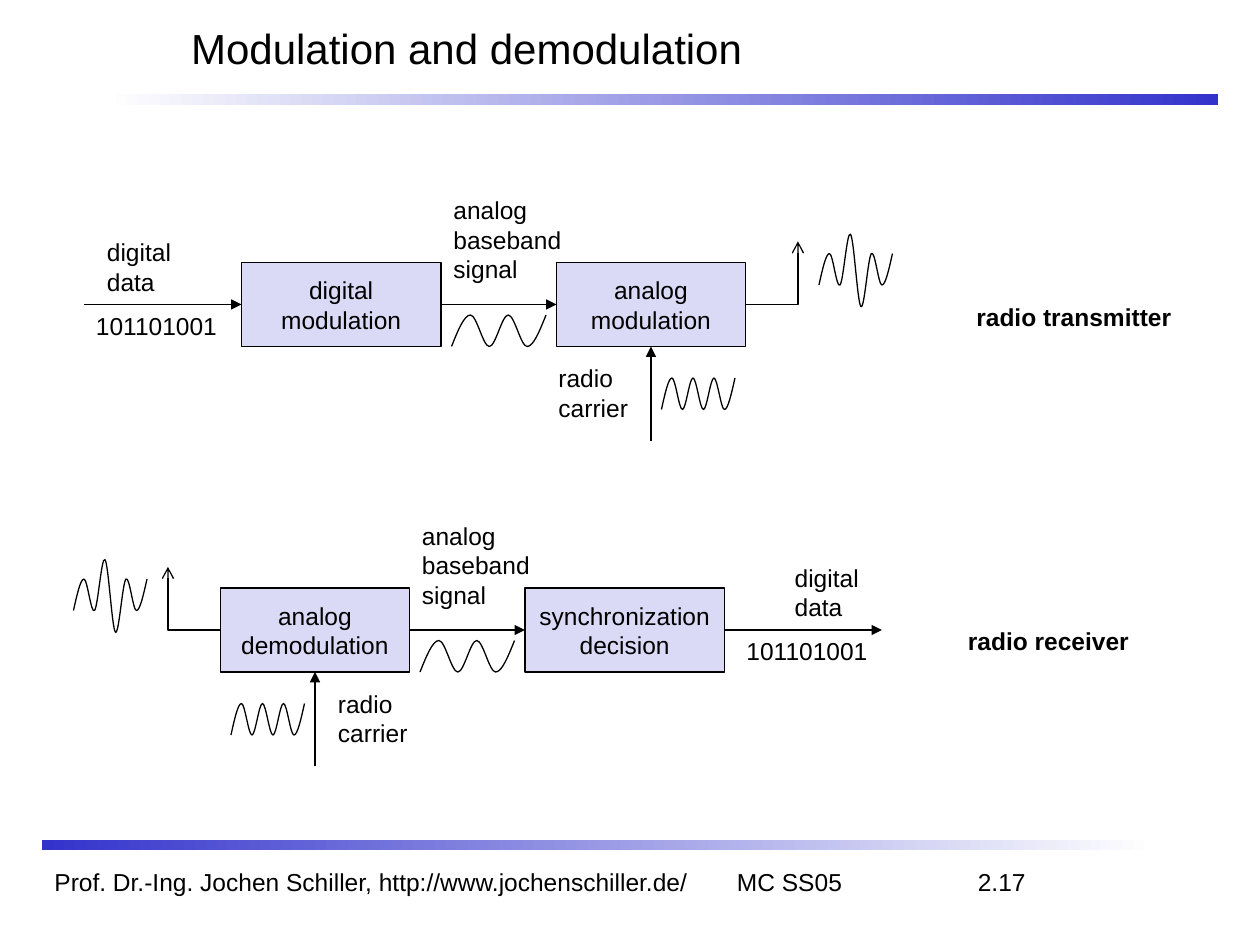
from lxml import etree
from pptx import Presentation
from pptx import util as u
from pptx.dml.color import RGBColor
from pptx.enum import shapes, text
from pptx.oxml.ns import qn

BLACK = RGBColor(0x00, 0x00, 0x00)
WHITE = RGBColor(0xFF, 0xFF, 0xFF)
BLUE = RGBColor(0x33, 0x33, 0xCC)
LAVENDER = RGBColor(0xDA, 0xDA, 0xF6)
GRID = u.Cm(2.54) // 12
LEFT, CENTER = text.PP_ALIGN.LEFT, text.PP_ALIGN.CENTER
TOP, MIDDLE = text.MSO_ANCHOR.TOP, text.MSO_ANCHOR.MIDDLE


def grid(*values):
    return [round(value * GRID) for value in values]


def write(shape, content, alignment=LEFT, tabs=(), frame_format=None, **font_format):
    frame = shape.text_frame
    frame.text = content
    for name, value in (frame_format or {}).items():
        setattr(frame, name, value)
    for paragraph in frame.paragraphs:
        paragraph.alignment = alignment
        if tabs:
            tab_list = etree.SubElement(paragraph._p.get_or_add_pPr(), qn("a:tabLst"))
            for position, kind in tabs:
                etree.SubElement(tab_list, qn("a:tab"), pos=str(grid(position)[0]), algn=kind)
        settings = {"name": "Arial", "size": u.Pt(14), **font_format}
        for name, value in settings.items():
            setattr(paragraph.font, name, value)
        paragraph.font.color.rgb = BLACK


presentation = Presentation()
presentation.slide_width, presentation.slide_height = u.Cm(25.4), u.Cm(19.05)
slide = presentation.slides.add_slide(presentation.slide_layouts[5])

for left, top, colors in [(10, 9, (BLUE, WHITE)), (4, 80, (WHITE, BLUE))]:
    bar = slide.shapes.add_shape(shapes.MSO_SHAPE.RECTANGLE, *grid(left, top, 106, 1))
    bar.shadow.inherit = False
    bar.line.fill.background()
    bar.fill.gradient()
    bar.fill.gradient_angle = 180
    for stop, color in zip(bar.fill.gradient_stops, colors):
        stop.color.rgb = color

title = slide.shapes.title
title.left, title.top, title.width, title.height = grid(17, 0, 101, 9)
write(title, "Modulation and demodulation", size=u.Pt(24),
      frame_format={"vertical_anchor": MIDDLE, "auto_size": text.MSO_AUTO_SIZE.NONE})

footer = slide.shapes.add_textbox(*grid(4, 82, 105, 4))
write(footer, "Prof. Dr.-Ing. Jochen Schiller, http://www.jochenschiller.de/\tMC SS05\t2.17",
      tabs=[(65, "l"), (92.5, "r")], frame_format={"word_wrap": True})

boxes = {}
for left, top, width, content in [
    (23, 25, 19, "digital\nmodulation"),
    (53, 25, 18, "analog\nmodulation"),
    (21, 56, 18, "analog\ndemodulation"),
    (50, 56, 19, "synchronization\ndecision"),
]:
    box = slide.shapes.add_shape(shapes.MSO_SHAPE.RECTANGLE, *grid(left, top, width, 8))
    box.shadow.inherit = False
    box.fill.solid()
    box.fill.fore_color.rgb = LAVENDER
    box.line.color.rgb = BLACK
    box.line.width = u.Pt(0.75)
    write(box, content, CENTER, frame_format={"vertical_anchor": MIDDLE, "word_wrap": False})
    boxes[content.replace("\n", " ")] = box

for left, top, width, content, bold in [
    (9, 22, 8.5, "digital\ndata", False),
    (7.95, 29, 14.1, "101101001", False),
    (42, 18, 12.8, "analog\nbaseband\nsignal", False),
    (52, 34, 9, "radio\ncarrier", False),
    (91.8, 28.2, 21, "radio transmitter", True),
    (39, 49, 12.8, "analog\nbaseband\nsignal", False),
    (31, 65, 9, "radio\ncarrier", False),
    (74.5, 53, 8.5, "digital\ndata", False),
    (69.9, 60, 14.1, "101101001", False),
    (91, 59, 17.8, "radio receiver", True),
]:
    height = 1.3 + 2.77 * len(content.split("\n"))
    label = slide.shapes.add_textbox(*grid(left, top, width, height))
    write(label, content, bold=bold, frame_format={
        "vertical_anchor": TOP, "word_wrap": False,
        "auto_size": text.MSO_AUTO_SIZE.SHAPE_TO_FIT_TEXT})

for start, end, source, target in [
    ((8, 29), (23, 29), None, ("digital modulation", 1)),
    ((42, 29), (53, 29), ("digital modulation", 3), ("analog modulation", 1)),
    ((62, 42), (62, 33), None, ("analog modulation", 2)),
    ((71, 29), (76, 23), ("analog modulation", 3), None),
    ((21, 60), (16, 54), ("analog demodulation", 1), None),
    ((30, 73), (30, 64), None, ("analog demodulation", 2)),
    ((39, 60), (50, 60), ("analog demodulation", 3), ("synchronization decision", 1)),
    ((69, 60), (84, 60), ("synchronization decision", 3), None),
]:
    antenna = start[0] != end[0] and start[1] != end[1]
    kind = shapes.MSO_CONNECTOR.ELBOW if antenna else shapes.MSO_CONNECTOR.STRAIGHT
    connector = slide.shapes.add_connector(kind, *grid(*start, *end))
    if source:
        connector.begin_connect(boxes[source[0]], source[1])
    if target:
        connector.end_connect(boxes[target[0]], target[1])
    connector.line.color.rgb = BLACK
    connector.line.width = u.Pt(0.75)
    properties = connector._element.spPr
    if antenna:
        properties.find(qn("a:prstGeom")).set("prst", "bentConnector2")
    etree.SubElement(connector.line._get_or_add_ln(), qn("a:tailEnd"),
                     type="arrow" if antenna else "triangle")
    etree.SubElement(properties, qn("a:effectLst"))

BASEBAND = [3, 0, 3, 0, 3, 0]
CARRIER = [3, 0, 3, 0, 3, 0, 3, 0]
MODULATED = [5.15, 2.15, 5.15, 0.3, 7.2, 2.15, 5.15, 2.15]
for left, top, width, levels in [
    (43, 30, 9, BASEBAND), (63, 36, 7, CARRIER), (78, 22, 7, MODULATED),
    (40, 61, 9, BASEBAND), (22, 67, 7, CARRIER), (7, 53, 7, MODULATED),
]:
    inner = [(after - before) / 2 for before, after in zip(levels, levels[2:])]
    slopes = [1.5 * (levels[1] - levels[0]), *inner, 1.5 * (levels[-1] - levels[-2])]
    step = width / (len(levels) - 1)
    points = [grid(left + index * step, top + level) for index, level in enumerate(levels)]
    builder = slide.shapes.build_freeform(*points[0])
    builder.add_line_segments(points[1:], close=False)
    wave = builder.convert_to_shape()
    wave.shadow.inherit = False
    wave.fill.background()
    wave.line.color.rgb = BLACK
    wave.line.width = u.Pt(0.75)
    segments = list(wave._element.iter(qn("a:lnTo")))
    for index, segment in enumerate(segments):
        following = index + 1
        segment.tag = qn("a:cubicBezTo")
        controls = [
            ((index + 1 / 3) * step, levels[index] + slopes[index] / 3),
            ((index + 2 / 3) * step, levels[following] - slopes[following] / 3),
        ]
        for position, (across, level) in enumerate(controls):
            x, y = grid(across, level - min(levels))
            segment.insert(position, etree.Element(qn("a:pt"), x=str(x), y=str(y)))

presentation.save("out.pptx")
